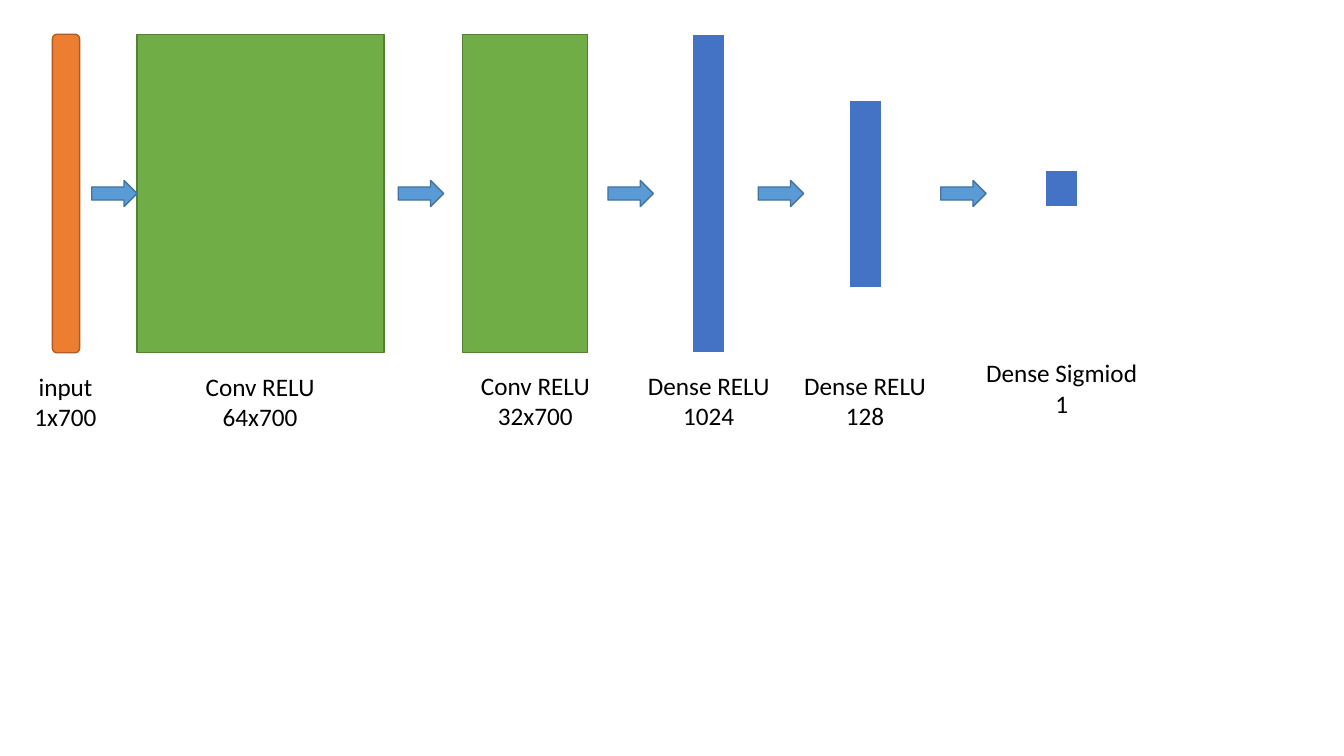
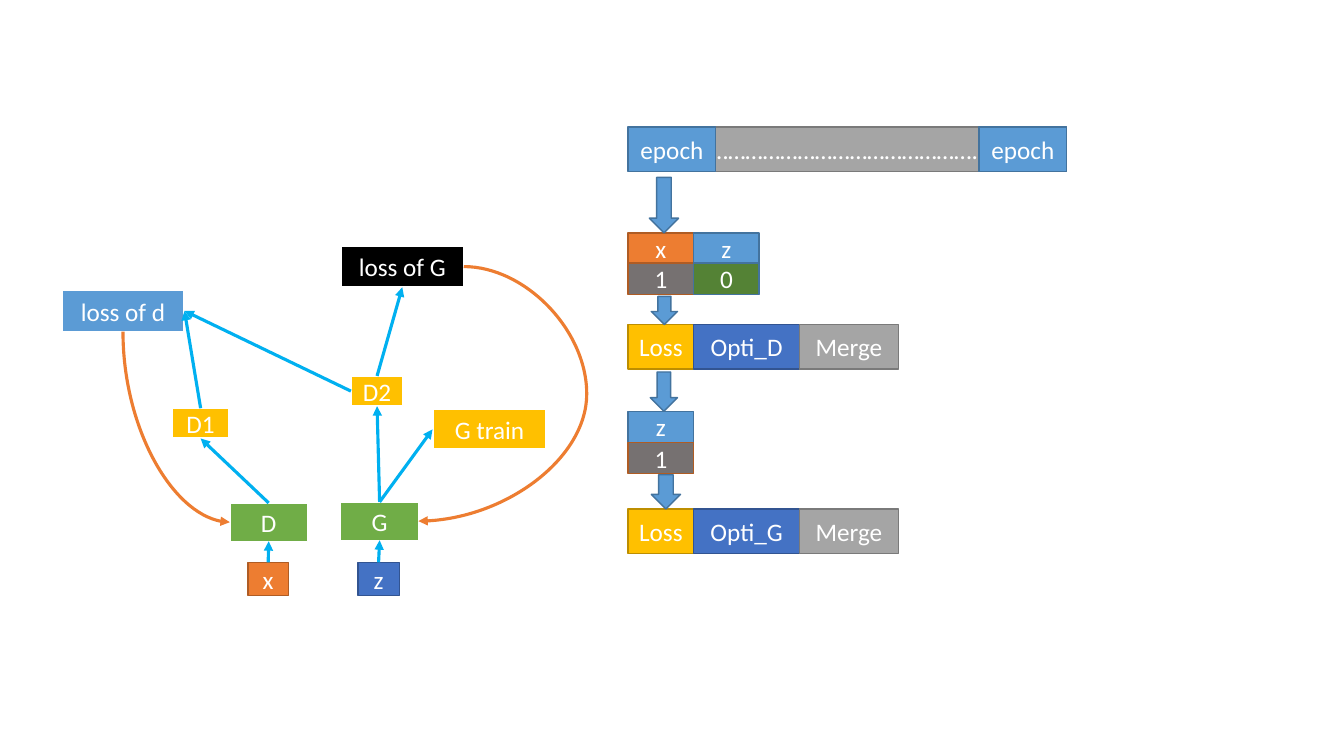
from typing import NamedTuple

from lxml import etree
from pptx import Presentation
from pptx.dml.color import RGBColor
from pptx.enum.shapes import MSO_CONNECTOR, MSO_SHAPE
from pptx.enum.text import MSO_ANCHOR, MSO_AUTO_SIZE, PP_ALIGN
from pptx.oxml.ns import qn
from pptx.shapes.autoshape import Shape
from pptx.shapes.connector import Connector
from pptx.slide import Slide
from pptx.util import Inches, Pt

RECTANGLE = MSO_SHAPE.RECTANGLE
ROUNDED = MSO_SHAPE.ROUNDED_RECTANGLE
RIGHT_ARROW, DOWN_ARROW = MSO_SHAPE.RIGHT_ARROW, MSO_SHAPE.DOWN_ARROW
STRAIGHT, CURVE = MSO_CONNECTOR.STRAIGHT, MSO_CONNECTOR.CURVE
CENTER, LEFT = PP_ALIGN.CENTER, PP_ALIGN.LEFT
MIDDLE = MSO_ANCHOR.MIDDLE
FIT_TEXT = MSO_AUTO_SIZE.SHAPE_TO_FIT_TEXT

FONT, TEXT_SIZE = "Calibri", 18
TOP, LEFT_SIDE, BOTTOM, RIGHT_SIDE = range(4)  # connection sites of a rectangle

COLORS = {
    "white": "FFFFFF", "black": "000000",
    "orange": "ED7D31", "dark orange": "AF5C24",
    "sky": "5B9BD5", "dark sky": "43739E",
    "blue": "4472C4", "dark blue": "325491",
    "green": "70AD47", "dark green": "538035", "forest": "548235",
    "gold": "FFC000", "dark gold": "BD8E00",
    "gray": "A5A5A5", "dark gray": "7A7A7A", "taupe": "767171",
    "cyan": "00B0F0",
}


class Style(NamedTuple):
    fill: str
    line: str
    width: float = 1


class Area(NamedTuple):
    left: float
    top: float
    width: float
    height: float


class Layer(NamedTuple):
    area: Area
    style: Style
    caption: tuple[str, str]
    caption_area: Area
    shape: MSO_SHAPE = RECTANGLE


class Node(NamedTuple):
    text: str
    area: Area
    style: Style


class Link(NamedTuple):
    start: str
    start_site: int
    end: str
    end_site: int


class Cell(NamedTuple):
    text: str
    width: float
    style: Style


class Strip(NamedTuple):
    top: float
    height: float
    cells: list[Cell]


ORANGE = Style("orange", "dark orange")
SKY = Style("sky", "dark sky")
BLUE = Style("blue", "dark blue")
GREEN = Style("green", "dark green")
GOLD = Style("gold", "dark gold")
GRAY = Style("gray", "dark gray")
TAUPE = Style("taupe", "dark orange")
FOREST = Style("forest", "dark sky")
DENSE = Style("blue", "white", 1.5)
MODEL = Style("green", "white")
RESULT = Style("gold", "white", 1.5)
LOSS_D = Style("sky", "white", 1.5)
LOSS_G = Style("black", "white", 1.5)


def color(name: str) -> RGBColor:
    return RGBColor.from_string(COLORS[name])


def lengths(area: Area) -> list[int]:
    return [Inches(value) for value in area]


def write(shape: Shape, lines: tuple[str, ...], ink: str, align: PP_ALIGN) -> None:
    frame = shape.text_frame
    frame.word_wrap = True
    for index, line in enumerate(lines):
        para = frame.add_paragraph() if index else frame.paragraphs[0]
        para.text = line
        para.alignment = align
        para.font.name = FONT
        para.font.size = Pt(TEXT_SIZE)
        para.font.color.rgb = color(ink)


def add_box(page: Slide, area: Area, style: Style, text: str = "",
            shape: MSO_SHAPE = RECTANGLE, align: PP_ALIGN = CENTER) -> Shape:
    box = page.shapes.add_shape(shape, *lengths(area))
    box.shadow.inherit = False
    box.fill.solid()
    box.fill.fore_color.rgb = color(style.fill)
    box.line.color.rgb = color(style.line)
    box.line.width = Pt(style.width)
    if text:
        write(box, (text,), "white", align)
        box.text_frame.vertical_anchor = MIDDLE
        if align == CENTER:
            box.text_frame.margin_left = box.text_frame.margin_right = 0
    return box


def add_caption(page: Slide, area: Area, lines: tuple[str, str]) -> None:
    caption = page.shapes.add_textbox(*lengths(area))
    write(caption, lines, "black", CENTER)
    caption.text_frame.auto_size = FIT_TEXT


def site_point(box: Shape, site: int) -> tuple[int, int]:
    middle_x, middle_y = box.left + box.width // 2, box.top + box.height // 2
    return {
        TOP: (middle_x, box.top),
        LEFT_SIDE: (box.left, middle_y),
        BOTTOM: (middle_x, box.top + box.height),
        RIGHT_SIDE: (box.left + box.width, middle_y),
    }[site]


def add_arrow(page: Slide, boxes: dict[str, Shape], link: Link, ink: str,
              kind: MSO_CONNECTOR = STRAIGHT) -> Connector:
    start, end = boxes[link.start], boxes[link.end]
    arrow = page.shapes.add_connector(kind, *site_point(start, link.start_site),
                                      *site_point(end, link.end_site))
    if kind == STRAIGHT:
        arrow.begin_connect(start, link.start_site)
        arrow.end_connect(end, link.end_site)
    arrow.line.color.rgb = color(ink)
    arrow.line.width = Pt(2.25)
    etree.SubElement(arrow.line._get_or_add_ln(), qn("a:tailEnd"), type="triangle")
    etree.SubElement(arrow.element.spPr, qn("a:effectLst"))
    return arrow


def bulge(arrow: Connector, reach: float) -> None:
    """Bend the curve out to the horizontal position reach."""
    share = (Inches(reach) - arrow.begin_x) / (arrow.end_x - arrow.begin_x)
    adjustments = arrow.element.spPr.find(qn("a:prstGeom")).get_or_add_avLst()
    etree.SubElement(adjustments, qn("a:gd"), name="adj1",
                     fmla=f"val {round(share * 100000)}")


def drop_then_turn(arrow: Connector) -> None:
    """Make the curve leave downwards and arrive from the left."""
    left, top, width, height = arrow.left, arrow.top, arrow.width, arrow.height
    arrow.left = left + (width - height) // 2
    arrow.top = top + (height - width) // 2
    arrow.width, arrow.height = height, width
    arrow.rotation = 270
    properties = arrow.element.spPr
    properties.find(qn("a:xfrm")).set("flipH", "1")
    properties.find(qn("a:prstGeom")).set("prst", "curvedConnector2")


def build_network(page: Slide) -> None:
    # Layers and their captions
    layers = [
        Layer(Area(0.52, 0.34, 0.27, 3.16), ORANGE, ("input", "1x700"),
              Area(0.2, 3.63, 0.9, 0.71), ROUNDED),
        Layer(Area(1.36, 0.34, 2.45, 3.16), GREEN, ("Conv RELU", "64x700"),
              Area(1.86, 3.63, 1.44, 0.71)),
        Layer(Area(4.59, 0.34, 1.24, 3.16), GREEN, ("Conv RELU", "32x700"),
              Area(4.59, 3.62, 1.44, 0.71)),
        Layer(Area(6.86, 0.34, 0.33, 3.16), DENSE, ("Dense RELU", "1024"),
              Area(6.31, 3.62, 1.44, 0.71)),
        Layer(Area(8.42, 0.99, 0.33, 1.87), DENSE, ("Dense RELU", "128"),
              Area(7.86, 3.62, 1.44, 0.71)),
        Layer(Area(10.36, 1.69, 0.33, 0.36), DENSE, ("Dense Sigmiod", "1"),
              Area(9.66, 3.5, 1.74, 0.71)),
    ]
    for layer in layers:
        add_box(page, layer.area, layer.style, shape=layer.shape)
        add_caption(page, layer.caption_area, layer.caption)

    # Arrows between layers
    for left in (0.91, 3.95, 6.03, 7.52, 9.33):
        add_box(page, Area(left, 1.79, 0.45, 0.26), SKY, shape=RIGHT_ARROW)


def build_training_graph(page: Slide) -> None:
    # Inputs, models, results and losses
    nodes = [
        Node("x", Area(2.46, 5.58, 0.4, 0.33), ORANGE),
        Node("z", Area(3.55, 5.58, 0.41, 0.33), BLUE),
        Node("D", Area(2.28, 4.99, 0.77, 0.38), MODEL),
        Node("G", Area(3.38, 4.98, 0.77, 0.38), MODEL),
        Node("D1", Area(1.71, 4.05, 0.56, 0.3), RESULT),
        Node("D2", Area(3.48, 3.73, 0.52, 0.3), RESULT),
        Node("G train", Area(4.29, 4.06, 1.13, 0.4), RESULT),
        Node("loss of d", Area(0.61, 2.88, 1.22, 0.41), LOSS_D),
        Node("loss of G", Area(3.38, 2.44, 1.22, 0.41), LOSS_G),
    ]
    boxes = {node.text: add_box(page, node.area, node.style, node.text)
             for node in nodes}

    # Forward flow
    links = [
        Link("D", TOP, "D1", BOTTOM),
        Link("G", TOP, "D2", BOTTOM),
        Link("G", TOP, "G train", LEFT_SIDE),
        Link("D1", TOP, "loss of d", RIGHT_SIDE),
        Link("D2", LEFT_SIDE, "loss of d", RIGHT_SIDE),
        Link("D2", TOP, "loss of G", BOTTOM),
        Link("x", TOP, "D", BOTTOM),
        Link("z", TOP, "G", BOTTOM),
    ]
    for link in links:
        add_arrow(page, boxes, link, "cyan")

    # Feedback from the losses
    to_generator = Link("loss of G", RIGHT_SIDE, "G", RIGHT_SIDE)
    bulge(add_arrow(page, boxes, to_generator, "orange", CURVE), 5.82)
    to_discriminator = Link("loss of d", BOTTOM, "D", LEFT_SIDE)
    drop_then_turn(add_arrow(page, boxes, to_discriminator, "orange", CURVE))


def optimizer_strip(top: float, name: str) -> Strip:
    return Strip(top, 0.44, [Cell("Loss", 0.65, GOLD), Cell(name, 1.05, BLUE),
                             Cell("Merge", 0.98, GRAY)])


def build_epoch_steps(page: Slide) -> None:
    # Epoch bar
    add_box(page, Area(6.95, 1.26, 3.63, 0.44), GRAY, "…" * 14 + "….", align=LEFT)
    for left in (6.23, 9.71):
        add_box(page, Area(left, 1.26, 0.87, 0.44), SKY, "epoch")

    # Steps within one epoch
    strips = [
        Strip(2.31, 0.31, [Cell("x", 0.65, ORANGE), Cell("z", 0.65, SKY)]),
        Strip(2.61, 0.31, [Cell("1", 0.65, TAUPE), Cell("0", 0.65, FOREST)]),
        optimizer_strip(3.22, "Opti_D"),
        Strip(4.08, 0.31, [Cell("z", 0.65, SKY)]),
        Strip(4.39, 0.31, [Cell("1", 0.65, TAUPE)]),
        optimizer_strip(5.05, "Opti_G"),
    ]
    for strip in strips:
        left = 6.23
        for cell in strip.cells:
            area = Area(left, strip.top, cell.width, strip.height)
            add_box(page, area, cell.style, cell.text)
            left += cell.width

    # Arrows between steps
    for area in (Area(6.44, 1.76, 0.29, 0.55), Area(6.46, 2.94, 0.26, 0.28),
                 Area(6.45, 3.69, 0.27, 0.39), Area(6.46, 4.71, 0.29, 0.34)):
        add_box(page, area, SKY, shape=DOWN_ARROW)


deck = Presentation()
deck.slide_width, deck.slide_height = Inches(13.33), Inches(7.5)
blank = deck.slide_layouts[6]
build_network(deck.slides.add_slide(blank))
training_page = deck.slides.add_slide(blank)
build_training_graph(training_page)
build_epoch_steps(training_page)
deck.save("out.pptx")
